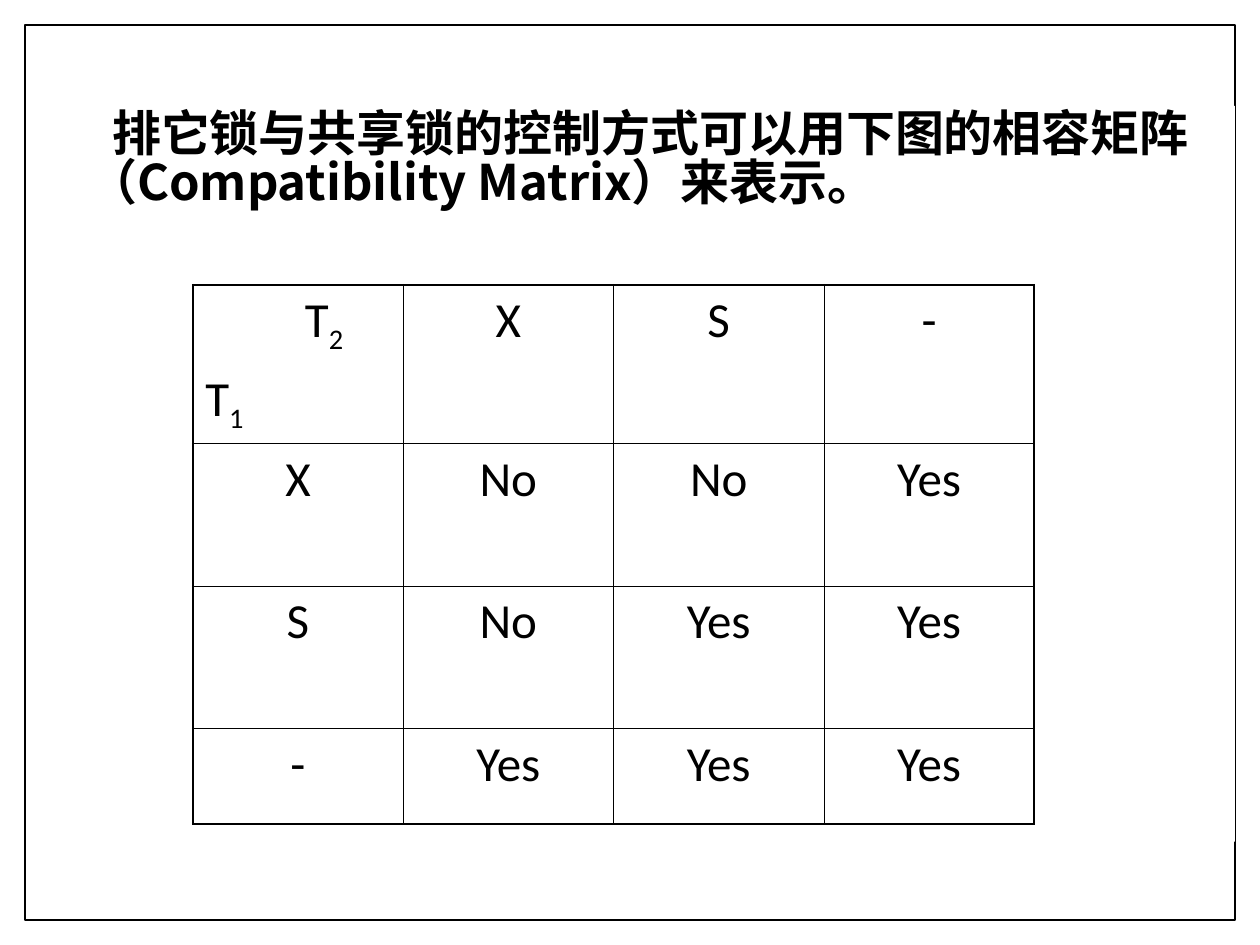
from dataclasses import dataclass

from pptx import Presentation
from pptx.dml.color import RGBColor
from pptx.enum.shapes import MSO_SHAPE
from pptx.enum.text import MSO_ANCHOR, PP_ALIGN
from pptx.oxml.ns import qn
from pptx.util import Inches, Pt
from lxml.etree import SubElement, Element


@dataclass(frozen=True)
class Theme:
    ink: RGBColor = RGBColor(0, 0, 0)
    paper: RGBColor = RGBColor(255, 255, 255)
    statement_font: str = "Noto Sans CJK SC"
    table_font: str = "Calibri"
    text_size: Pt = Pt(28)
    frame_line: Pt = Pt(1)
    outer_rule: Pt = Pt(1.08)
    inner_rule: Pt = Pt(0.45)


THEME = Theme()
STATEMENT = "排它锁与共享锁的控制方式可以用下图的相容矩阵（Compatibility Matrix）来表示。"
LOCKS = ["X", "S", "-"]
COMPATIBILITY = [
    ["No", "No", "Yes"],
    ["No", "Yes", "Yes"],
    ["Yes", "Yes", "Yes"],
]
COLUMN_WIDTH = 1.67
ROW_HEIGHTS = [1.26, 1.13, 1.13, 0.76]


def paint(shape):
    shape.fill.solid()
    shape.fill.fore_color.rgb = THEME.paper


def style_font(paragraph, name, bold=False):
    font = paragraph.font
    font.name, font.size, font.bold = name, THEME.text_size, bold
    font.color.rgb = THEME.ink
    defaults = paragraph._p.get_or_add_pPr().get_or_add_defRPr()
    SubElement(defaults, qn("a:ea"), typeface=name)


def set_indent(paragraph, margin, first_line):
    properties = paragraph._p.get_or_add_pPr()
    properties.set("marL", str(Inches(margin)))
    properties.set("indent", str(Inches(first_line)))


def add_frame(slide):
    """Put the page border behind everything else."""
    frame = slide.shapes.add_shape(
        MSO_SHAPE.RECTANGLE, Inches(0.2), Inches(0.2), Inches(9.6), Inches(7.1))
    frame.shadow.inherit = False
    paint(frame)
    frame.line.color.rgb = THEME.ink
    frame.line.width = THEME.frame_line
    frame.element.getparent().insert(2, frame.element)


def fill_statement(body):
    body.left, body.top = Inches(0.27), Inches(0.84)
    body.width, body.height = Inches(9.53), Inches(5.84)
    paint(body)
    body.text_frame.vertical_anchor = MSO_ANCHOR.TOP
    paragraph = body.text_frame.paragraphs[0]
    paragraph.text = STATEMENT
    paragraph.line_spacing = 0.83
    paragraph.space_before = Pt(3)
    set_indent(paragraph, 0.33, 0.19)
    SubElement(paragraph._p.get_or_add_pPr(), qn("a:buNone"))
    style_font(paragraph, THEME.statement_font, bold=True)


def set_borders(cell, row, column, last):
    outer_edges = {
        "a:lnL": column == 0,
        "a:lnR": column == last,
        "a:lnT": row == 0,
        "a:lnB": row == last,
    }
    properties = cell._tc.get_or_add_tcPr()
    for position, (edge, is_outer) in enumerate(outer_edges.items()):
        width = THEME.outer_rule if is_outer else THEME.inner_rule
        rule = Element(qn(edge), w=str(width))
        fill = SubElement(rule, qn("a:solidFill"))
        SubElement(fill, qn("a:srgbClr"), val=str(THEME.ink))
        properties.insert(position, rule)


def style_entry(paragraph, alignment):
    paragraph.alignment = alignment
    paragraph.space_before = Pt(7)
    style_font(paragraph, THEME.table_font)


def fill_corner(cell):
    """Name the transaction of the columns, then that of the rows."""
    columns_label = cell.text_frame.paragraphs[0]
    rows_label = cell.text_frame.add_paragraph()
    for paragraph, number in ((columns_label, "2"), (rows_label, "1")):
        paragraph.add_run().text = "T"
        subscript = paragraph.add_run()
        subscript.text = number
        subscript._r.get_or_add_rPr().set("baseline", "-25000")
        style_entry(paragraph, PP_ALIGN.LEFT)
    set_indent(columns_label, 0, 0.79)


def add_matrix(slide):
    size = len(ROW_HEIGHTS)
    table = slide.shapes.add_table(
        size, size, Inches(1.53), Inches(2.26),
        Inches(COLUMN_WIDTH * size), Inches(sum(ROW_HEIGHTS))).table
    table.first_row = table.horz_banding = False
    for column in table.columns:
        column.width = Inches(COLUMN_WIDTH)
    for row, height in zip(table.rows, ROW_HEIGHTS):
        row.height = Inches(height)

    entries = [["", *LOCKS]]
    entries += [[lock, *answers] for lock, answers in zip(LOCKS, COMPATIBILITY)]
    for row, values in enumerate(entries):
        for column, value in enumerate(values):
            cell = table.cell(row, column)
            paint(cell)
            set_borders(cell, row, column, size - 1)
            if value:
                cell.text = value
                style_entry(cell.text_frame.paragraphs[0], PP_ALIGN.CENTER)
            else:
                fill_corner(cell)


def main():
    presentation = Presentation()
    presentation.slide_width, presentation.slide_height = Inches(10), Inches(7.5)
    slide = presentation.slides.add_slide(presentation.slide_layouts[1])
    title, body = slide.placeholders
    title.element.getparent().remove(title.element)
    add_frame(slide)
    fill_statement(body)
    add_matrix(slide)
    presentation.save("out.pptx")


if __name__ == "__main__":
    main()
